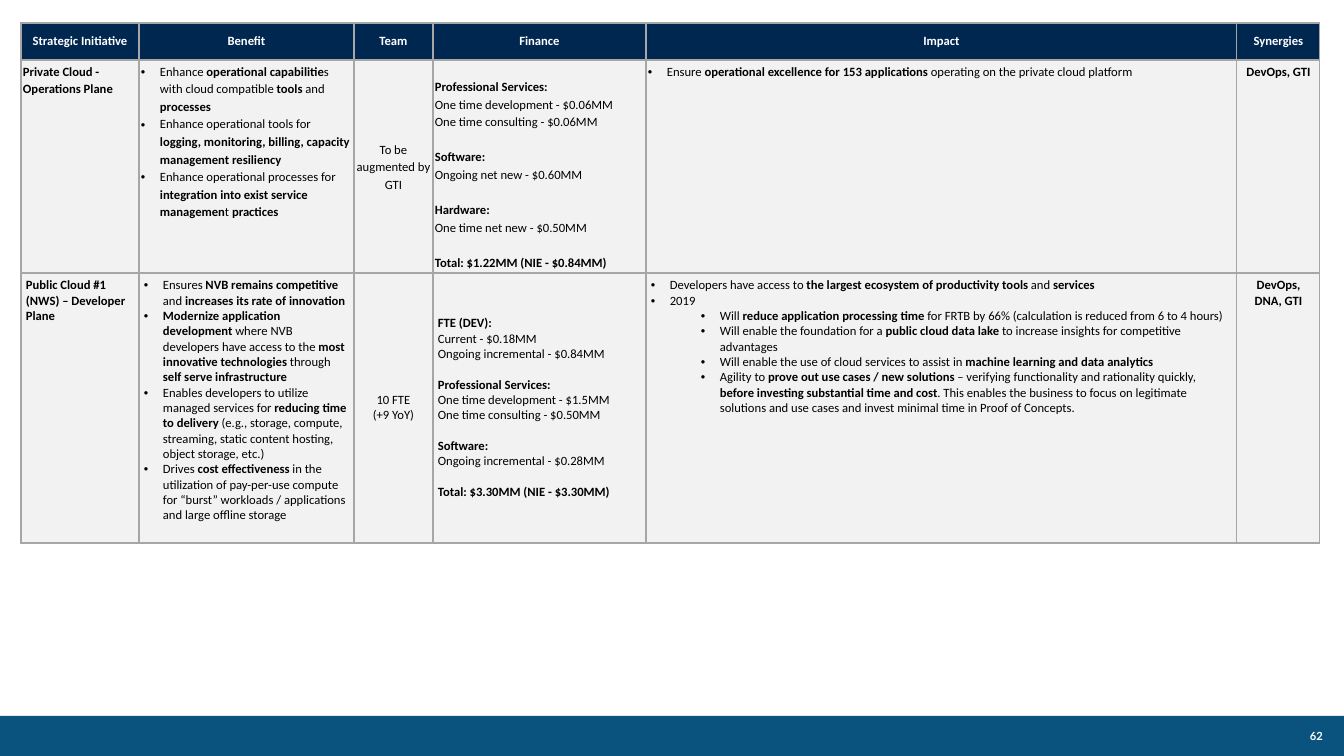
from dataclasses import dataclass

from lxml import etree
from pptx import Presentation
from pptx.dml.color import RGBColor
from pptx.enum.shapes import MSO_SHAPE
from pptx.enum.text import MSO_ANCHOR, PP_ALIGN
from pptx.oxml.ns import qn
from pptx.util import Emu, Pt

RECTANGLE = MSO_SHAPE.RECTANGLE
TOP, MIDDLE, BOTTOM = MSO_ANCHOR.TOP, MSO_ANCHOR.MIDDLE, MSO_ANCHOR.BOTTOM
LEFT, CENTER, RIGHT = PP_ALIGN.LEFT, PP_ALIGN.CENTER, PP_ALIGN.RIGHT
EMU_PER_PX = 914400 / 100.8
SLIDE_WIDTH, SLIDE_HEIGHT = 1344, 756


@dataclass(frozen=True)
class Theme:
    footer: str = "0B537F"
    header: str = "002750"
    body: str = "F2F2F2"
    border: str = "A6A6A6"
    white: str = "FFFFFF"
    black: str = "000000"
    table_font: str = "Calibri"
    number_font: str = "Lato"
    table_size: int = 9
    number_size: int = 8
    bullet_indent: int = 19
    level_step: int = 50


@dataclass(frozen=True)
class Line:
    text: str
    level: int | None = None
    gap: bool = False


def px(length):
    return Emu(round(length * EMU_PER_PX))


def bullets(*texts, level=0):
    return [Line(text, level) for text in texts]


def groups(*blocks):
    return [
        Line(text, gap=block_index > 0 and line_index == 0)
        for block_index, block in enumerate(blocks)
        for line_index, text in enumerate(block)
    ]


def add_bullet(paragraph, level, theme):
    properties = paragraph._p.get_or_add_pPr()
    indent = px(theme.bullet_indent)
    properties.set("marL", str(indent + px(level * theme.level_step)))
    properties.set("indent", str(-indent))
    etree.SubElement(properties, qn("a:buFont"), typeface="Arial")
    etree.SubElement(properties, qn("a:buChar"), char="•")
    paragraph.level = level


def write_text(frame, lines, *, theme, font, size, color, align=LEFT, spacing=1.0):
    frame.word_wrap = True
    for index, line in enumerate(lines):
        paragraph = frame.add_paragraph() if index else frame.paragraphs[0]
        if line.level is not None:
            add_bullet(paragraph, line.level, theme)
        paragraph.alignment = align
        paragraph.line_spacing = spacing
        if line.gap:
            paragraph.space_before = Pt(round(size * 1.22 * spacing, 1))
        for position, part in enumerate(line.text.split("**")):
            if part:
                run = paragraph.add_run()
                run.text = part
                run.font.name = font
                run.font.size = Pt(size)
                run.font.bold = position % 2 == 1
                run.font.color.rgb = RGBColor.from_string(color)


class SlideBuilder:
    def __init__(self, slide, theme):
        self.slide = slide
        self.theme = theme

    def rectangle(self, left, top, width, height, fill):
        shape = self.slide.shapes.add_shape(RECTANGLE, px(left), px(top), px(width), px(height))
        shape.shadow.inherit = False
        shape.fill.solid()
        shape.fill.fore_color.rgb = RGBColor.from_string(fill)
        shape.line.fill.background()

    def label(self, left, top, width, height, text, **text_format):
        shape = self.slide.shapes.add_textbox(px(left), px(top), px(width), px(height))
        frame = shape.text_frame
        frame.margin_left = frame.margin_right = frame.margin_top = frame.margin_bottom = 0
        frame.vertical_anchor = MIDDLE
        write_text(frame, [Line(text)], theme=self.theme, **text_format)

    def table(self, left, top, widths, heights):
        frame = self.slide.shapes.add_table(
            len(heights), len(widths), px(left), px(top), px(sum(widths)), px(sum(heights)))
        table = frame.table
        table.horz_banding = False
        for column, width in zip(table.columns, widths):
            column.width = px(width)
        for row, height in zip(table.rows, heights):
            row.height = px(height)
        return table

    def cell(self, cell, lines, fill, color, margin, anchor, **text_format):
        cell.fill.solid()
        cell.fill.fore_color.rgb = RGBColor.from_string(fill)
        cell.margin_left = cell.margin_right = cell.margin_top = cell.margin_bottom = px(margin)
        cell.vertical_anchor = anchor
        self.borders(cell)
        write_text(cell.text_frame, lines, theme=self.theme, font=self.theme.table_font,
                   size=self.theme.table_size, color=color, **text_format)

    def borders(self, cell):
        properties = cell._tc.get_or_add_tcPr()
        for index, side in enumerate(("lnL", "lnR", "lnT", "lnB")):
            border = etree.Element(qn(f"a:{side}"), w=str(Pt(1)))
            fill = etree.SubElement(border, qn("a:solidFill"))
            etree.SubElement(fill, qn("a:srgbClr"), val=self.theme.border)
            properties.insert(index, border)


HEADERS = ["Strategic Initiative", "Benefit", "Team", "Finance", "Impact", "Synergies"]
COLUMN_WIDTHS = [118, 215, 79, 213, 591, 83]
ROW_HEIGHTS = [37, 213, 270]
ALIGNMENTS = [LEFT, LEFT, CENTER, LEFT, LEFT, CENTER]

PRIVATE_CLOUD = [
    [Line("**Private Cloud - Operations Plane**")],
    bullets(
        "Enhance **operational capabilitie**s with cloud compatible **tools** and **processes**",
        "Enhance operational tools for** logging, monitoring, billing, capacity management resiliency**",
        "Enhance operational processes for **integration into exist service managemen**t **practices**",
    ),
    [Line("To be augmented by GTI")],
    groups(
        ["**Professional Services:**", "One time development - $0.06MM", "One time consulting - $0.06MM"],
        ["**Software:**", "Ongoing net new - $0.60MM"],
        ["**Hardware:**", "One time net new - $0.50MM"],
        ["**Total: $1.22MM (NIE - $0.84MM)**"],
    ),
    bullets("Ensure **operational excellence for 153 applications **operating on the private cloud platform"),
    [Line("**DevOps, GTI**")],
]

PUBLIC_CLOUD = [
    [Line("**Public Cloud #1 (NWS) – Developer Plane**")],
    bullets(
        "Ensures** NVB remains competitive **and** increases its rate of innovation**",
        "**Modernize application development **where NVB developers have access to the "
        "**most innovative technologies **through **self serve infrastructure**",
        "Enables developers to utilize managed services for **reducing time to delivery **"
        "(e.g., storage, compute, streaming, static content hosting, object storage, etc.)",
        "Drives** cost effectiveness **in the utilization of pay-per-use compute for “burst” "
        "workloads / applications and large offline storage",
    ),
    [Line("10 FTE"), Line("(+9 YoY)")],
    groups(
        ["**FTE (DEV):**", "Current - $0.18MM", "Ongoing incremental - $0.84MM"],
        ["**Professional Services:**", "One time development - $1.5MM", "One time consulting - $0.50MM"],
        ["**Software:**", "Ongoing incremental - $0.28MM"],
        ["**Total: $3.30MM (NIE - $3.30MM)**"],
    ),
    bullets(
        "Developers have access to **the largest ecosystem of productivity tools **and **services**",
        "2019",
    ) + bullets(
        "Will **reduce application processing time **for FRTB by 66% (calculation is reduced from 6 to 4 hours)",
        "Will enable the foundation for a **public cloud data lake **to increase insights for competitive advantages",
        "Will enable the use of cloud services to assist in **machine learning and data analytics**",
        "Agility to **prove out use cases / new solutions** – verifying functionality and rationality "
        "quickly, **before investing substantial time and cost**. This enables the business to focus on "
        "legitimate solutions and use cases and invest minimal time in Proof of Concepts.",
        level=1,
    ),
    [Line("**DevOps, DNA, GTI**")],
]

INITIATIVES = [
    (PRIVATE_CLOUD, 2, 1.15, [TOP, TOP, MIDDLE, BOTTOM, TOP, TOP]),
    (PUBLIC_CLOUD, 5, 1.0, [TOP, TOP, MIDDLE, MIDDLE, TOP, TOP]),
]


def main():
    presentation = Presentation()
    presentation.slide_width, presentation.slide_height = px(SLIDE_WIDTH), px(SLIDE_HEIGHT)
    theme = Theme()
    builder = SlideBuilder(presentation.slides.add_slide(presentation.slide_layouts[6]), theme)
    builder.rectangle(0, 716, SLIDE_WIDTH, 40, theme.footer)
    builder.label(1021, 716, 302, 40, "**62**", font=theme.number_font,
                  size=theme.number_size, color=theme.white, align=RIGHT)
    table = builder.table(21, 23, COLUMN_WIDTHS, ROW_HEIGHTS)
    for column, header in enumerate(HEADERS):
        builder.cell(table.cell(0, column), [Line(f"**{header}**")], theme.header,
                     theme.white, 5, MIDDLE, align=CENTER)
    for row, (contents, margin, spacing, anchors) in enumerate(INITIATIVES, start=1):
        for column, (lines, anchor, align) in enumerate(zip(contents, anchors, ALIGNMENTS)):
            builder.cell(table.cell(row, column), lines, theme.body, theme.black,
                         margin, anchor, align=align, spacing=spacing)
    presentation.save("out.pptx")


if __name__ == "__main__":
    main()
